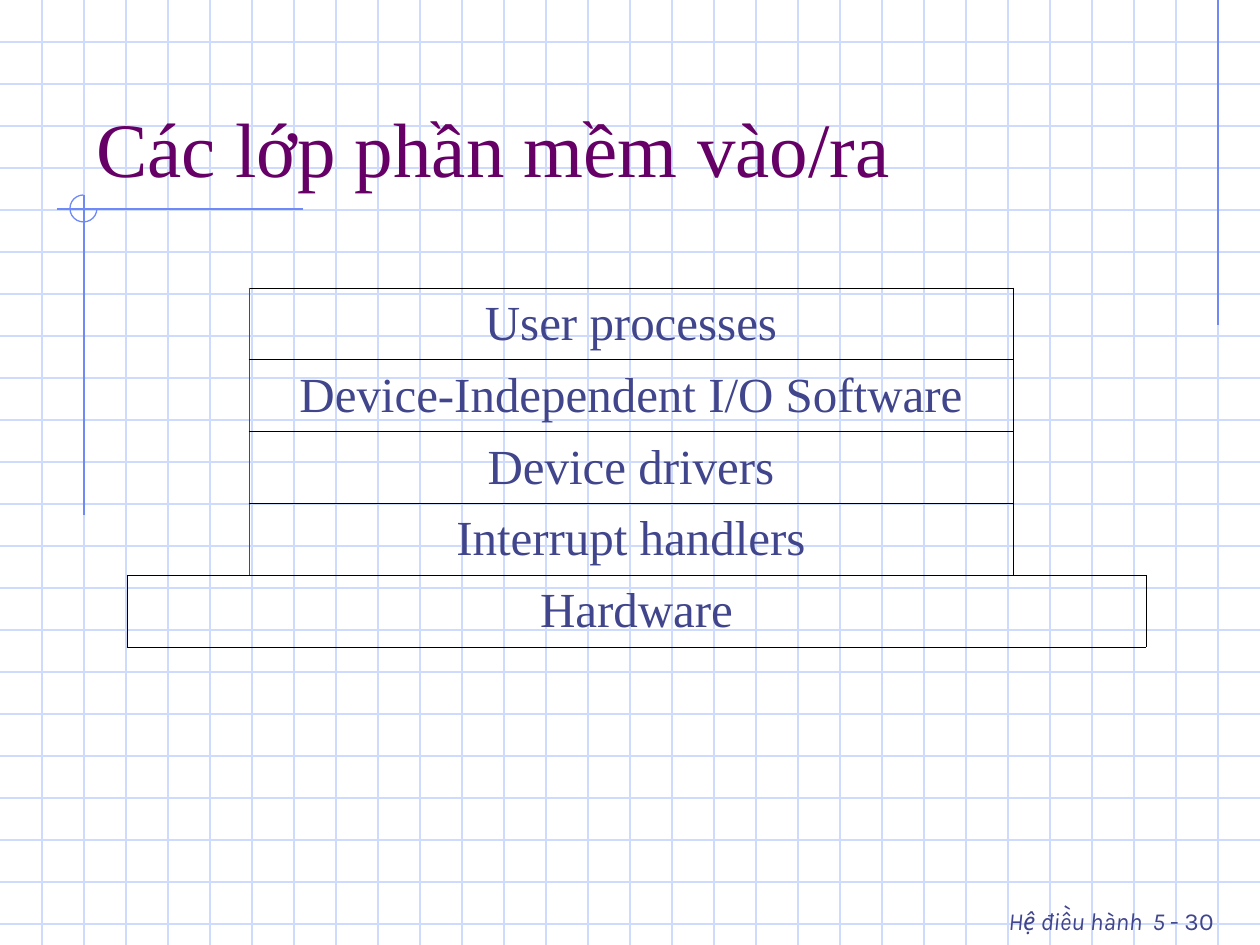
from pptx import Presentation
from pptx.util import Emu, Pt
from pptx.dml.color import RGBColor
from pptx.enum.shapes import MSO_CONNECTOR, MSO_SHAPE
from pptx.enum.text import MSO_ANCHOR, PP_ALIGN
from pptx.oxml import parse_xml
from pptx.oxml.ns import nsdecls, qn
from lxml.etree import SubElement

WIDE, HIGH, STEP = 1260, 945, 42


class Theme:
    grid, rule = "CFDBFD", "6F89F7"
    plum, navy, black = "660066", "40458C", "000000"
    serif, sans = "Times New Roman", "Karla"
    title, body, foot, gap = 44, 28, 14, 24
    thin, edge = 0.75, 0.45
    plain = "{2D5ABB26-0587-4C30-8999-92F81FD0307C}"


def px(num):
    return Emu(round(num * 914400 / 126))


def apply(obj, vals):
    for key, val in vals.items():
        setattr(obj, key, val)


def add_run(para, text, face, size, color, italic=False):
    run = para.add_run()
    run.text = text
    apply(run.font, {"name": face, "size": Pt(size), "italic": italic})
    run.font.color.rgb = RGBColor.from_string(color)


def add_text(slide, box, anchor, align):
    frame = slide.shapes.add_textbox(*map(px, box)).text_frame
    apply(frame, {"word_wrap": True, "vertical_anchor": anchor})
    para = frame.paragraphs[0]
    para.alignment = align
    return para


def add_line(slide, ends, color):
    line = slide.shapes.add_connector(MSO_CONNECTOR.STRAIGHT, *map(px, ends))
    line.line.color.rgb = RGBColor.from_string(color)
    line.line.width = Pt(Theme.thin)
    SubElement(line._element.spPr, qn("a:effectLst"))


def add_grid(slide, box):
    left, top, wide, high = box
    for y in range(top + STEP, top + high, STEP):
        add_line(slide, (left, y, left + wide, y), Theme.grid)
    for x in range(left + STEP, left + wide, STEP):
        add_line(slide, (x, top, x, top + high), Theme.grid)


def add_rules(slide, box):
    left, top, wide, high = box
    # Right margin rule, then the cross beside the title
    add_line(slide, (left + wide, 0, left + wide, 325), Theme.rule)
    add_line(slide, (left, top + 14, left + 246, top + 14), Theme.rule)
    add_line(slide, (left + 27, top, left + 27, top + high), Theme.rule)
    # Three-quarter ring around the crossing
    ring = slide.shapes.add_shape(
        MSO_SHAPE.ARC, *map(px, (left + 13, top, 27, 27)))
    ring.shadow.inherit = False
    ring.adjustments[0], ring.adjustments[1] = 0, 162
    ring.fill.background()
    ring.line.color.rgb = RGBColor.from_string(Theme.rule)
    ring.line.width = Pt(Theme.thin)


def add_title(slide, box, text):
    para = add_text(slide, box, MSO_ANCHOR.BOTTOM, PP_ALIGN.LEFT)
    add_run(para, text, Theme.serif, Theme.title, Theme.plum)


def add_foot(slide, box):
    para = add_text(slide, box, MSO_ANCHOR.TOP, PP_ALIGN.RIGHT)
    for text, size, italic in (("Hệ điều hành", Theme.foot, True),
                               (" ", Theme.gap, False),
                               ("5 ", Theme.foot, True),
                               ("- 30", Theme.foot, False)):
        add_run(para, text, Theme.sans, size, Theme.navy, italic)


def set_edges(cell, edges):
    cell.fill.background()
    props = cell._tc.get_or_add_tcPr()
    sides = [side for side in "LRTB" if side in edges]
    for spot, side in enumerate(sides):
        props.insert(spot, parse_xml(
            f'<a:ln{side} {nsdecls("a")} w="{Pt(Theme.edge)}"><a:solidFill>'
            f'<a:srgbClr val="{edges[side]}"/></a:solidFill></a:ln{side}>'))


def add_stack(slide, box, cols, names):
    left, top, wide, high = box
    table = slide.shapes.add_table(
        len(names), len(cols), *map(px, box)).table
    apply(table, {"first_row": False, "horz_banding": False})
    table._tbl.tblPr.find(qn("a:tableStyleId")).text = Theme.plain
    for col, size in zip(table.columns, cols):
        col.width = px(size)
    for row in table.rows:
        row.height = px(high / len(names))

    # Open side columns, and a base across the full width
    last = len(names) - 1
    for col in (0, 2):
        table.cell(0, col).merge(table.cell(last - 1, col))
    table.cell(last, 0).merge(table.cell(last, 2))
    black, navy = Theme.black, Theme.navy
    frame = dict.fromkeys("LRTB", black)
    tiers = ({"R": navy}, {**frame, "L": navy}, {"L": black})
    for row, name in enumerate(names):
        for col, edges in enumerate(tiers):
            if row == last:
                edges = frame
            elif row == last - 1:
                edges = {**edges, "B": black}
            set_edges(table.cell(row, col), edges)
        cell = table.cell(row, 0 if row == last else 1)
        cell.vertical_anchor = MSO_ANCHOR.MIDDLE
        para = cell.text_frame.paragraphs[0]
        apply(para, {"alignment": PP_ALIGN.CENTER, "space_before": Pt(7)})
        add_run(para, name, Theme.serif, Theme.body, navy)


def main():
    deck = Presentation()
    apply(deck, {"slide_width": px(WIDE), "slide_height": px(HIGH)})
    slide = deck.slides.add_slide(deck.slide_layouts[6])
    add_grid(slide, (0, 0, WIDE, HIGH))
    add_rules(slide, (57, 195, 1161, 320))
    add_foot(slide, (861, 882, 365, 63))
    add_title(slide, (84, 42, 1071, 157), "Các lớp phần mềm vào/ra")
    add_stack(slide, (127, 288, 1019, 359), (122, 764, 133),
              ("User processes", "Device-Independent I/O Software",
               "Device drivers", "Interrupt handlers", "Hardware"))
    deck.save("out.pptx")


if __name__ == "__main__":
    main()
